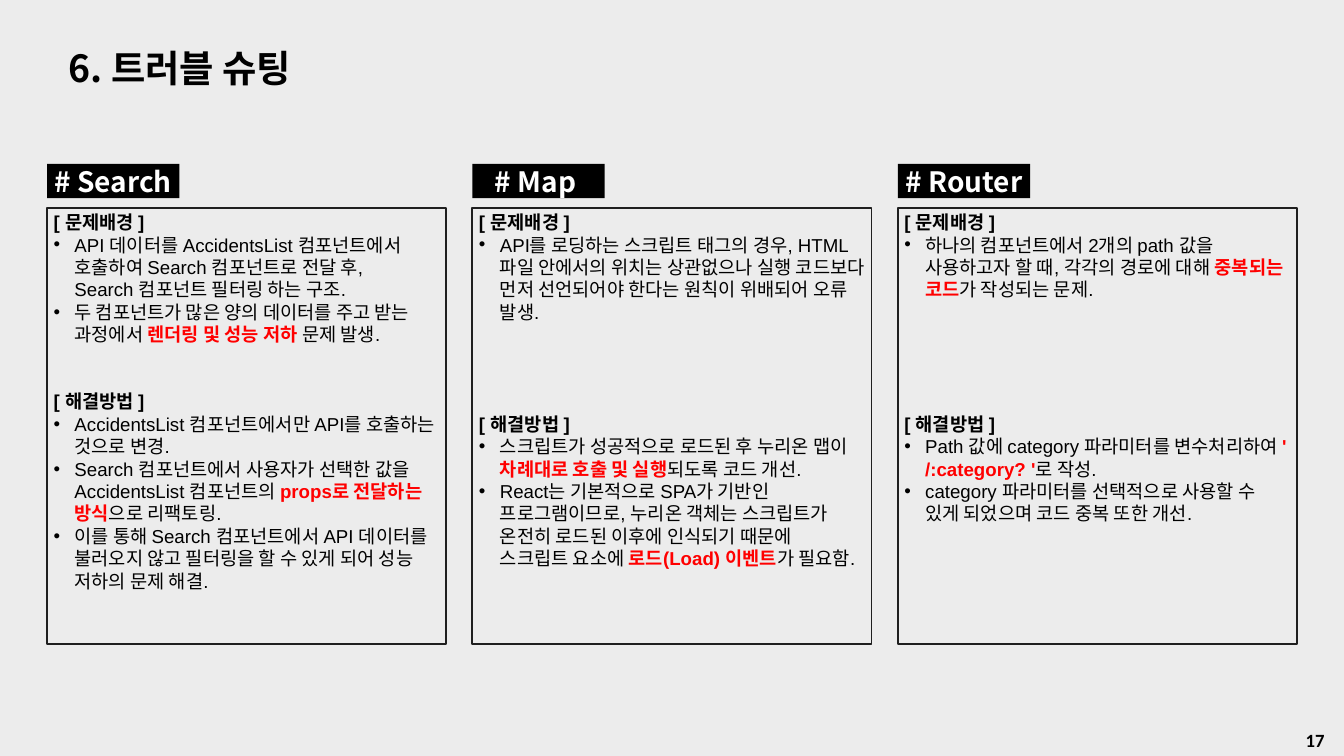
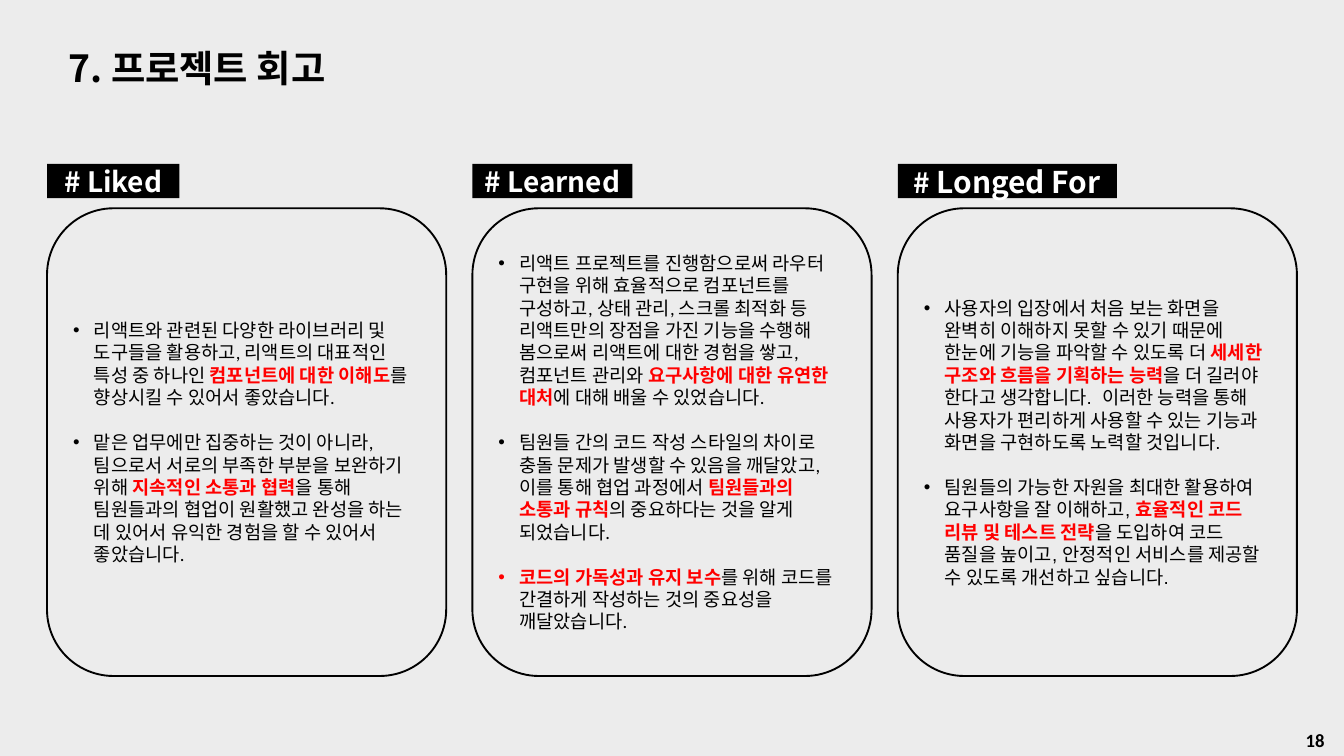
import dataclasses

import lxml.etree
import pptx
import pptx.dml.color
import pptx.enum.shapes
import pptx.enum.text
import pptx.oxml.ns
import pptx.util

Inches = pptx.util.Inches
Pt = pptx.util.Pt
RGBColor = pptx.dml.color.RGBColor
Align = pptx.enum.text.PP_ALIGN
Anchor = pptx.enum.text.MSO_ANCHOR
Form = pptx.enum.shapes.MSO_SHAPE

PAPER = RGBColor(0xEC, 0xEC, 0xEC)
BLACK = RGBColor(0, 0, 0)
WHITE = RGBColor(0xFF, 0xFF, 0xFF)
RED = RGBColor(0xFF, 0, 0)
EDGE = RGBColor(0x1F, 0x1F, 0x1F)
NOTO, ARIAL, CALIBRI = "Noto Sans CJK KR", "Arial", "Calibri"

LEFT, STEP, WIDTH = 0.7, 6.33, 5.94
INDENT = Inches(0.31)
LINE = 24  # height of one body line, in points
CAUSE, REMEDY = "[ 문제배경 ]", "[ 해결방법 ]"


@dataclasses.dataclass
class Run:
    text: str
    font: str = NOTO
    size: int = 40
    color: RGBColor = BLACK
    bold: bool = True


@dataclasses.dataclass
class Para:
    """Body text; every second piece between bars is red and bold."""
    text: str
    gap: int = 0
    head: bool = False


@dataclasses.dataclass
class Column:
    tag: list[Run]
    paras: list[Para]
    font: str = ARIAL
    wide: float = 1.97


@dataclasses.dataclass
class Frame:
    form: int
    top: float
    height: float
    edge: RGBColor
    anchor: int
    filled: bool


@dataclasses.dataclass
class Page:
    number: int
    title: list[Run]
    frame: Frame
    columns: list[Column]


def label(text: str, size: int = 30) -> Run:
    return Run(text, size=size, color=WHITE)


SQUARE = Frame(Form.RECTANGLE, 3.09, 6.5, EDGE, Anchor.TOP, False)
ROUND = Frame(Form.ROUNDED_RECTANGLE, 3.1, 6.96, BLACK, Anchor.MIDDLE, True)

PAGES = [
    Page(17, [Run("6. 트러블 슈팅")], SQUARE, [
        Column([label("# Search")], [
            Para(CAUSE, head=True),
            Para("API 데이터를 AccidentsList 컴포넌트에서 호출하여 Search 컴포넌트로 "
                 "전달 후, \nSearch 컴포넌트 필터링 하는 구조."),
            Para("두 컴포넌트가 많은 양의 데이터를 주고 받는 과정에서 "
                 "|렌더링 및 성능 저하 |문제 발생."),
            Para(REMEDY, gap=2, head=True),
            Para("AccidentsList 컴포넌트에서만 API를 호출하는 것으로 변경."),
            Para("Search 컴포넌트에서 사용자가 선택한 값을 AccidentsList 컴포넌트의 "
                 "|props로 전달하는 방식|으로 리팩토링."),
            Para("이를 통해 Search 컴포넌트에서 API 데이터를 불러오지 않고 필터링을 "
                 "할 수 있게 되어 성능 저하의 문제 해결."),
        ]),
        Column([label("# Map ")], [
            Para(CAUSE, head=True),
            Para("API를 로딩하는 스크립트 태그의 경우, HTML파일 안에서의 위치는 "
                 "상관없으나 실행 코드보다 먼저 선언되어야 한다는 원칙이 위배되어 "
                 "오류 발생."),
            Para(REMEDY, gap=4, head=True),
            Para("스크립트가 성공적으로 로드된 후 누리온 맵이 "
                 "|차례대로 호출 및 실행|되도록 코드 개선."),
            Para("React는 기본적으로 SPA가 기반인 프로그램이므로, 누리온 객체는 "
                 "스크립트가\n온전히 로드된 이후에 인식되기 때문에 \n스크립트 요소에 "
                 "|로드(Load) 이벤트|가 필요함."),
        ]),
        Column([label("# Router")], [
            Para(CAUSE, head=True),
            Para("하나의 컴포넌트에서 2개의 path 값을 사용하고자 할 때, 각각의 경로에 "
                 "대해 |중복되는 코드|가 작성되는 문제."),
            Para(REMEDY, gap=5, head=True),
            Para("Path 값에 category 파라미터를 변수처리하여 "
                 "|' /:category? '|로 작성."),
            Para("category 파라미터를 선택적으로 사용할 수 있게 되었으며 코드 중복 "
                 "또한 개선."),
        ]),
    ]),
    Page(18, [Run("7. "), Run("프로젝트 회고", CALIBRI)], ROUND, [
        Column([label("# Liked")], [
            Para("리액트와 관련된 다양한 라이브러리 및 도구들을 활용하고, 리액트의 "
                 "대표적인 특성 중 하나인 |컴포넌트에 대한 이해도|를 향상시킬 수 "
                 "있어서 좋았습니다."),
            Para("맡은 업무에만 집중하는 것이 아니라, 팀으로서 서로의 부족한 부분을 "
                 "보완하기 위해 |지속적인 소통과 협력|을 통해 팀원들과의 협업이 "
                 "원활했고 완성을 하는 데 있어서 유익한 경험을 할 수 있어서 "
                 "좋았습니다.", gap=1),
        ], CALIBRI),
        Column([label("# Learned")], [
            Para("리액트 프로젝트를 진행함으로써 라우터 구현을 위해 효율적으로 "
                 "컴포넌트를 구성하고, 상태 관리, 스크롤 최적화 등 리액트만의 장점을 "
                 "가진 기능을 수행해 봄으로써 리액트에 대한 경험을 쌓고, 컴포넌트 "
                 "관리와 |요구사항에 대한 유연한 대처|에 대해 배울 수 있었습니다."),
            Para("팀원들 간의 코드 작성 스타일의 차이로 충돌 문제가 발생할 수 있음을 "
                 "깨달았고, 이를 통해 협업 과정에서 |팀원들과의 소통과 규칙|의 "
                 "중요하다는 것을 알게 되었습니다.", gap=1),
            Para("|코드의 가독성과 유지 보수|를 위해 코드를 간결하게 작성하는 것의 "
                 "중요성을 깨달았습니다.", gap=1),
        ], CALIBRI, 2.38),
        Column([label("# "), label("Longed For", 32)], [
            Para("사용자의 입장에서 처음 보는 화면을 완벽히 이해하지 못할 수 있기 "
                 "때문에 한눈에 기능을 파악할 수 있도록 더 "
                 "|세세한 구조와 흐름을 기획하는 능력|을 더 길러야 한다고 "
                 "생각합니다.  이러한 능력을 통해 사용자가 편리하게 사용할 수 있는 "
                 "기능과 화면을 구현하도록 노력할 것입니다."),
            Para("팀원들의 가능한 자원을 최대한 활용하여 요구사항을 잘 이해하고, "
                 "|효율적인 코드 리뷰 및 테스트 전략|을 도입하여 코드 품질을 높이고, "
                 "안정적인 서비스를 제공할 수 있도록 개선하고 싶습니다.", gap=1),
        ], ARIAL, 3.26),
    ]),
]


def write(para, runs: list[Run]) -> None:
    for run in runs:
        for row, text in enumerate(run.text.split("\n")):
            if row:
                para.add_line_break()
            part = para.add_run()
            part.text = text
            part.font.name = run.font
            part.font.size = Pt(run.size)
            part.font.bold = run.bold
            part.font.color.rgb = run.color


def add_bullet(para) -> None:
    props = para._p.get_or_add_pPr()
    props.set("marL", str(INDENT))
    props.set("indent", str(-INDENT))
    for tag, key, value in (("a:buFont", "typeface", ARIAL),
                            ("a:buChar", "char", "•")):
        item = lxml.etree.SubElement(props, pptx.oxml.ns.qn(tag))
        item.set(key, value)


def add_text(slide, left: float, top: float, width: float, height: float,
             runs: list[Run]) -> None:
    box = slide.shapes.add_textbox(Inches(left), Inches(top),
                                   Inches(width), Inches(height))
    box.text_frame.word_wrap = True
    box.text_frame.auto_size = pptx.enum.text.MSO_AUTO_SIZE.SHAPE_TO_FIT_TEXT
    write(box.text_frame.paragraphs[0], runs)


def add_tag(slide, left: float, column: Column) -> None:
    tag = slide.shapes.add_shape(Form.RECTANGLE, Inches(left), Inches(2.44),
                                 Inches(column.wide), Inches(0.51))
    tag.shadow.inherit = False
    tag.fill.solid()
    tag.fill.fore_color.rgb = BLACK
    tag.line.fill.background()
    tag.text_frame.vertical_anchor = Anchor.MIDDLE
    para = tag.text_frame.paragraphs[0]
    para.alignment = Align.CENTER
    write(para, column.tag)


def add_panel(slide, left: float, frame: Frame, column: Column) -> None:
    panel = slide.shapes.add_shape(frame.form, Inches(left), Inches(frame.top),
                                   Inches(WIDTH), Inches(frame.height))
    panel.shadow.inherit = False
    if frame.filled:
        panel.fill.solid()
        panel.fill.fore_color.rgb = PAPER
    else:
        panel.fill.background()
    panel.line.color.rgb = frame.edge
    panel.line.width = Pt(2)
    body = panel.text_frame
    body.vertical_anchor = frame.anchor
    for index, item in enumerate(column.paras):
        para = body.add_paragraph() if index else body.paragraphs[0]
        para.alignment = Align.LEFT
        if item.gap:
            para.space_before = Pt(LINE * item.gap)
        if not item.head:
            add_bullet(para)
        runs = []
        for place, text in enumerate(item.text.split("|")):
            hot = place % 2 == 1
            if text:
                runs.append(Run(text, column.font, 20, RED if hot else BLACK,
                                hot or item.head))
        write(para, runs)


def add_page(deck, page: Page) -> None:
    slide = deck.slides.add_slide(deck.slide_layouts[6])
    slide.background.fill.solid()
    slide.background.fill.fore_color.rgb = PAPER
    add_text(slide, 0.92, 0.62, 10.92, 0.76, page.title)
    add_text(slide, 19.33, 10.79, 0.67, 0.43,
             [Run(str(page.number), CALIBRI, 20)])
    for index, column in enumerate(page.columns):
        left = LEFT + index * STEP
        add_panel(slide, left, page.frame, column)
        add_tag(slide, left, column)


def main() -> None:
    deck = pptx.Presentation()
    deck.slide_width = Inches(20)
    deck.slide_height = Inches(11.25)
    for page in PAGES:
        add_page(deck, page)
    deck.save("out.pptx")


if __name__ == "__main__":
    main()
